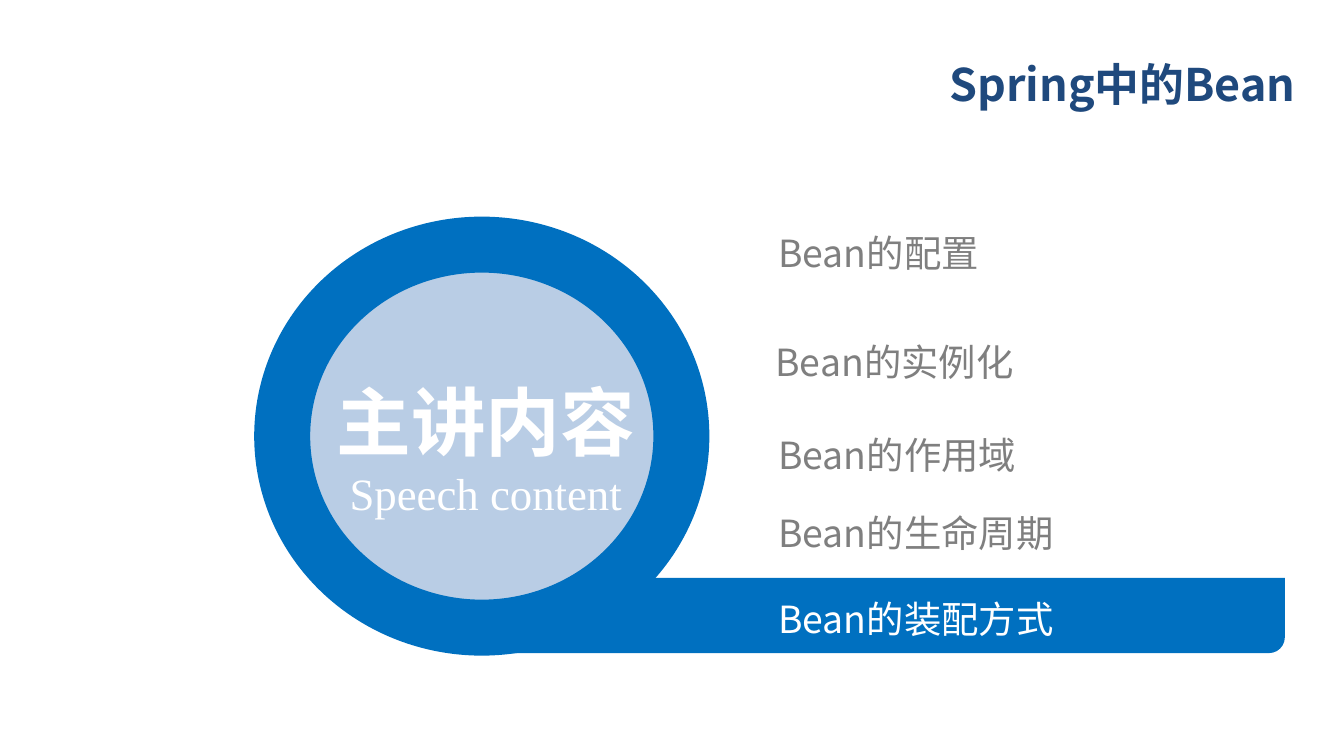
"""Build the agenda slide for the Spring Bean lecture."""
from dataclasses import dataclass

from lxml.etree import SubElement
from pptx import Presentation
from pptx.dml.color import RGBColor
from pptx.enum.shapes import MSO_SHAPE
from pptx.enum.text import MSO_ANCHOR, MSO_AUTO_SIZE, PP_ALIGN
from pptx.oxml.ns import qn
from pptx.util import Inches, Pt

SANS = "Noto Sans CJK SC"
SERIF = "Times New Roman"
BLUE, PALE, NAVY = "0070C0", "B9CDE5", "1F497D"
GREY, WHITE = "7F7F7F", "FFFFFF"


@dataclass
class Item:
    text: str
    top: float
    left: float = 5.79
    width: float = 3.63
    tint: str = GREY


ITEMS = [
    Item("Bean的配置", 1.71),
    Item("Bean的实例化", 2.52, left=5.77),
    Item("Bean的作用域", 3.21),
    Item("Bean的生命周期", 3.79, width=3.46),
    Item("Bean的装配方式", 4.43, width=3.46, tint=WHITE),
]


def color(code: str) -> RGBColor:
    return RGBColor.from_string(code)


def add_run(para, text: str, size: int, tint: str,
            face: str = SANS, bold: bool = False) -> None:
    run = para.add_run()
    run.text = text
    font = run.font
    font.size, font.bold, font.name = Pt(size), bold, face
    font.color.rgb = color(tint)
    SubElement(run._r.get_or_add_rPr(), qn("a:ea"), typeface=face)


def add_shape(shapes, kind, left: float, top: float,
              width: float, height: float, fill: str):
    shape = shapes.add_shape(kind, Inches(left), Inches(top),
                             Inches(width), Inches(height))
    shape.shadow.inherit = False
    shape.fill.solid()
    shape.fill.fore_color.rgb = color(fill)
    shape.line.fill.background()
    return shape


def add_box(shapes, left: float, top: float, width: float, height: float):
    box = shapes.add_textbox(Inches(left), Inches(top),
                             Inches(width), Inches(height))
    frame = box.text_frame
    frame.word_wrap = True
    frame.auto_size = MSO_AUTO_SIZE.SHAPE_TO_FIT_TEXT
    frame.vertical_anchor = MSO_ANCHOR.MIDDLE
    return frame


def add_title(slide) -> None:
    title = slide.shapes.title
    title.left, title.top = Inches(4.84), Inches(0.31)
    title.width, title.height = Inches(4.89), Inches(0.63)
    frame = title.text_frame
    frame.vertical_anchor = MSO_ANCHOR.MIDDLE
    frame.margin_left = frame.margin_right = Inches(0.09)
    frame.margin_top = frame.margin_bottom = Inches(0.04)
    para = frame.paragraphs[0]
    para.alignment = PP_ALIGN.RIGHT
    add_run(para, "Spring中的Bean", 24, NAVY, bold=True)


def add_badge(slide) -> None:
    group = slide.shapes.add_group_shape()
    ring = add_shape(group.shapes, MSO_SHAPE.OVAL, 2.1, 1.82, 2.97, 2.85, PALE)
    ring.line.color.rgb = color(BLUE)
    ring.line.width = Pt(30)
    frame = add_box(group.shapes, 2.08, 2.44, 3.07, 1.45)
    head, sub = frame.paragraphs[0], frame.add_paragraph()
    head.alignment = sub.alignment = PP_ALIGN.CENTER
    head.line_spacing = 1.5
    add_run(head, "主讲内容", 40, WHITE, bold=True)
    add_run(sub, "Speech content", 24, WHITE, SERIF)


def add_item(slide, item: Item) -> None:
    frame = add_box(slide.shapes, item.left, item.top, item.width, 0.34)
    frame.margin_left = frame.margin_right = 0
    frame.margin_top = frame.margin_bottom = 0
    add_run(frame.paragraphs[0], item.text, 20, item.tint)


def main() -> None:
    deck = Presentation()
    deck.slide_width = Inches(10)
    deck.slide_height = Inches(10 * 9 / 16)
    slide = deck.slides.add_slide(deck.slide_layouts[5])
    add_title(slide)
    bar = add_shape(slide.shapes, MSO_SHAPE.ROUND_2_DIAG_RECTANGLE,
                    3.58, 4.3, 5.98, 0.56, BLUE)
    bar.adjustments[0] = 0.21
    add_badge(slide)
    for item in ITEMS:
        add_item(slide, item)
    deck.save("out.pptx")


if __name__ == "__main__":
    main()
